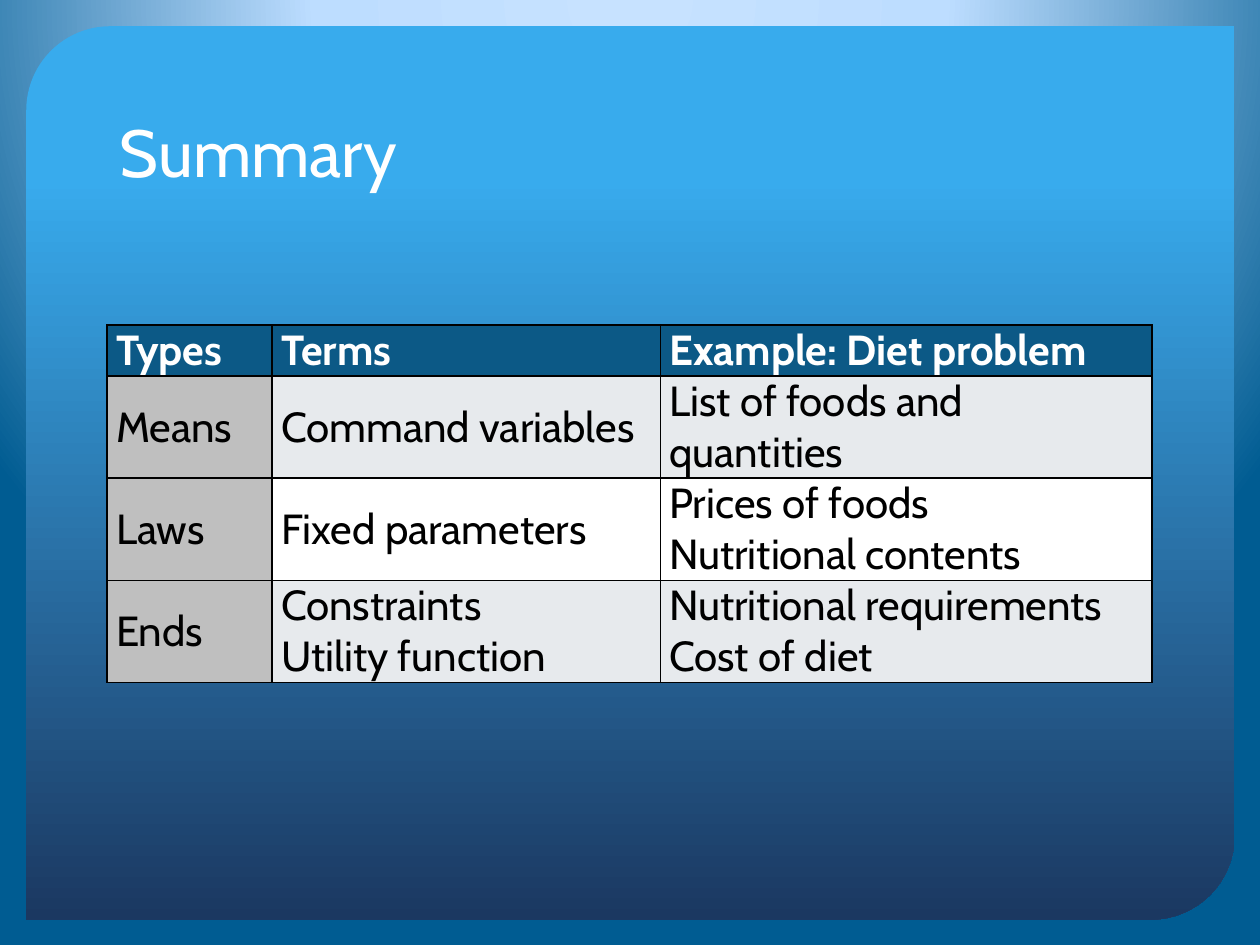
from pptx import Presentation
from pptx.dml.color import RGBColor
from pptx.enum.shapes import MSO_SHAPE as Preset
from pptx.enum.text import MSO_ANCHOR as Anchor, MSO_AUTO_SIZE as AutoSize, PP_ALIGN as Align
from pptx.oxml import parse_xml
from pptx.oxml.ns import nsdecls, qn
from pptx.util import Cm, Pt

FONT = "Cabin"
COLORS = {
    "glow": "C7E2FF", "halo": "BDDDFF", "edge": "005C92",
    "sky": "38ABED", "navy": "1B3861", "header": "0C5986",
    "label": "BFBFBF", "band": "E7EAED", "white": "FFFFFF", "black": "000000",
}
HEADINGS = ["Types", "Terms", "Example: Diet problem"]
ROWS = [
    ["Means", "Command variables", "List of foods and quantities"],
    ["Laws", "Fixed parameters", "Prices of foods\nNutritional contents"],
    ["Ends", "Constraints\nUtility function", "Nutritional requirements\nCost of diet"],
]
COLUMN_SHARES = [1.31, 3.08, 3.9]


def write_text(frame, text, size=24, color="black", bold=False):
    """Fill a text frame with one left-aligned paragraph per line."""
    for index, line in enumerate(text.split("\n")):
        para = frame.paragraphs[0] if index == 0 else frame.add_paragraph()
        para.alignment = Align.LEFT
        span = para.add_run()
        span.text = line
        span.font.name = FONT
        span.font.size = Pt(size)
        span.font.bold = bold
        span.font.color.rgb = RGBColor.from_string(COLORS[color])


def set_gradient(fill, owner, stops, direction):
    """Give the owner's fill a gradient of (percent, color) stops."""
    fill.gradient()
    marks = "".join(
        f'<a:gs pos="{percent * 1000}"><a:srgbClr val="{COLORS[color]}"/></a:gs>'
        for percent, color in stops)
    gradient = parse_xml(
        f'<a:gradFill {nsdecls("a")} rotWithShape="1">'
        f'<a:gsLst>{marks}</a:gsLst>{direction}</a:gradFill>')
    old = next(owner.iter(qn("a:gradFill")))
    old.getparent().replace(old, gradient)


def draw_backdrop(page, left, top, width, height):
    """Paint the page glow and the panel with two rounded corners."""
    set_gradient(
        page.background.fill, page.element,
        [(0, "glow"), (40, "halo"), (100, "edge")],
        '<a:path path="circle"><a:fillToRect l="50000" t="-80000" r="50000" b="180000"/></a:path>')
    panel = page.shapes.add_shape(Preset.ROUND_2_DIAG_RECTANGLE, left, top, width, height)
    panel.shadow.inherit = False
    panel.line.fill.background()
    panel.adjustments[0] = 0.094
    panel.adjustments[1] = 0
    set_gradient(panel.fill, panel.element, [(17, "sky"), (100, "navy")],
                 '<a:lin ang="5400000" scaled="0"/>')
    page.shapes.element.insert(2, panel.element)


def place_title(page, left, top, width, height):
    """Move the title placeholder into its box and write the heading."""
    title = page.shapes.title
    title.left, title.top, title.width, title.height = left, top, width, height
    frame = title.text_frame
    frame.word_wrap = True
    frame.auto_size = AutoSize.NONE
    frame.vertical_anchor = Anchor.BOTTOM
    write_text(frame, "Summary", size=38, color="white")


def set_borders(cell):
    """Draw a thin black line on all four sides of a cell."""
    properties = cell._tc.get_or_add_tcPr()
    for index, side in enumerate(["lnL", "lnR", "lnT", "lnB"]):
        properties.insert(index, parse_xml(
            f'<a:{side} {nsdecls("a")} w="12700"><a:solidFill>'
            f'<a:srgbClr val="{COLORS["black"]}"/></a:solidFill></a:{side}>'))


def format_cell(cell, text, fill, anchor, **text_format):
    """Write, fill and frame one table cell."""
    cell.margin_left = cell.margin_right = Cm(0.18)
    cell.margin_top = cell.margin_bottom = 0
    cell.vertical_anchor = anchor
    cell.fill.solid()
    cell.fill.fore_color.rgb = RGBColor.from_string(COLORS[fill])
    write_text(cell.text_frame, text, **text_format)
    set_borders(cell)


def place_table(page, left, top, width, height):
    """Build the summary table with a header half as tall as the other rows."""
    table = page.shapes.add_table(
        len(ROWS) + 1, len(HEADINGS), left, top, width, height).table
    for column, share in zip(table.columns, COLUMN_SHARES):
        column.width = int(width * share / sum(COLUMN_SHARES))
    unit = height // (2 * len(ROWS) + 1)
    for index, row in enumerate(table.rows):
        row.height = unit * (2 if index else 1)
    for column, heading in enumerate(HEADINGS):
        format_cell(table.cell(0, column), heading, "header", Anchor.TOP,
                    color="white", bold=True)
    for row, texts in enumerate(ROWS, start=1):
        for column, text in enumerate(texts):
            band = "band" if row % 2 else "white"
            format_cell(table.cell(row, column), text,
                        band if column else "label", Anchor.MIDDLE)


def main():
    """Build the deck with its single summary page."""
    deck = Presentation()
    deck.slide_width, deck.slide_height = Cm(25.4), Cm(19.05)
    page = deck.slides.add_slide(deck.slide_layouts[5])
    draw_backdrop(page, Cm(0.53), Cm(0.53), Cm(24.36), Cm(18.01))
    place_title(page, Cm(2.16), Cm(1.07), Cm(21.06), Cm(2.9))
    place_table(page, Cm(2.16), Cm(6.55), Cm(21.06), Cm(7.2))
    deck.save("out.pptx")


if __name__ == "__main__":
    main()
